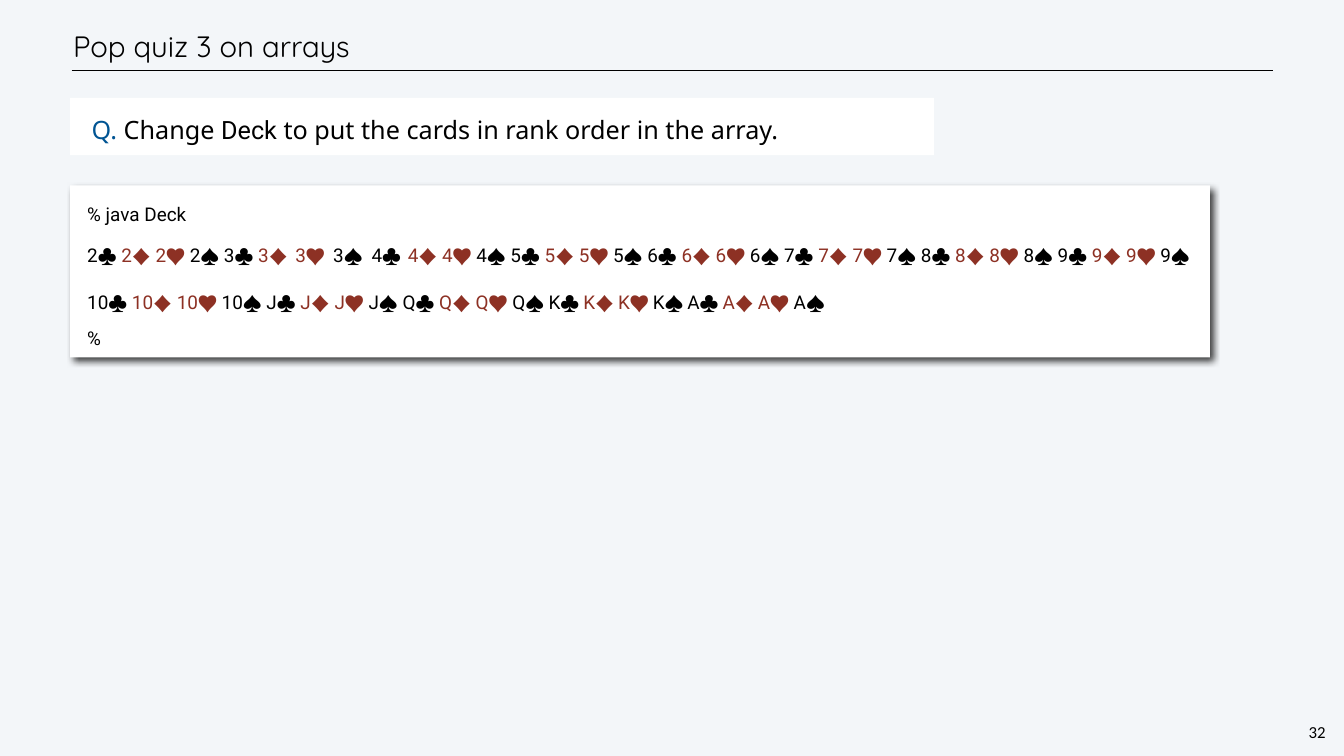
from itertools import groupby

from lxml import etree
from pptx import Presentation
from pptx.dml.color import RGBColor
from pptx.enum.shapes import MSO_CONNECTOR, MSO_SHAPE
from pptx.enum.text import MSO_ANCHOR, PP_ALIGN
from pptx.oxml import parse_xml
from pptx.oxml.ns import qn
from pptx.util import Inches, Pt

RECT = MSO_SHAPE.RECTANGLE
LINE = MSO_CONNECTOR.STRAIGHT
TOP, MIDDLE = MSO_ANCHOR.TOP, MSO_ANCHOR.MIDDLE
LEFT, CENTER = PP_ALIGN.LEFT, PP_ALIGN.CENTER
BLACK = RGBColor(0, 0, 0)
WHITE = RGBColor(255, 255, 255)
PALE = RGBColor(0xF3, 0xF6, 0xF9)
BLUE = RGBColor(0x00, 0x54, 0x93)
RED = RGBColor(0x8D, 0x31, 0x24)

SHADOW = """<a:effectLst xmlns:a="http://schemas.openxmlformats.org/drawingml/2006/main">
<a:outerShdw blurRad="127000" dist="76200" dir="2700000" algn="tl" rotWithShape="0">
<a:srgbClr val="000000"><a:alpha val="75000"/></a:srgbClr></a:outerShdw></a:effectLst>"""


def write(para, text, size=27, font="Roboto", color=BLACK):
    run = para.add_run()
    run.text = text
    run.font.size = Pt(size)
    run.font.name = font
    run.font.color.rgb = color


def set_up(shape, inset, lines, anchor=TOP, wrap=True, align=LEFT):
    """Format the frame; each line is (spacing, space before, left, first indent)."""
    frame = shape.text_frame
    frame.word_wrap = wrap
    frame.vertical_anchor = anchor
    frame.margin_left = frame.margin_right = Inches(inset)
    frame.margin_top = frame.margin_bottom = Inches(inset)
    for i, (gap, before, left, first) in enumerate(lines):
        para = frame.add_paragraph() if i else frame.paragraphs[0]
        para.alignment = align
        para.line_spacing = Pt(gap)
        para.space_before = Pt(before)
        props = para._p.get_or_add_pPr()
        props.set("marL", str(Inches(left)))
        props.set("indent", str(Inches(first)))
    return frame.paragraphs


prs = Presentation()
prs.slide_width, prs.slide_height = Inches(26.67), Inches(15)
slide = prs.slides.add_slide(prs.slide_layouts[6])
slide.background.fill.solid()
slide.background.fill.fore_color.rgb = PALE
shapes = slide.shapes

# Title and rule
rule = shapes.add_connector(LINE, Inches(1.42), Inches(1.4), Inches(25.27), Inches(1.4))
rule.line.color.rgb = BLACK
rule.line.width = Pt(1)
etree.SubElement(rule._element.spPr, qn("a:effectLst"))
title = shapes.add_textbox(Inches(1.39), Inches(0.42), Inches(22.62), Inches(0.99))
para, = set_up(title, 0.06, [(50, 0, 0, 0)], anchor=MIDDLE)
write(para, "Pop quiz 3 on arrays", size=42, font="Quicksand")

# White panels
panels = []
for top, width, height in [(1.94, 17.14, 1.14), (3.68, 22.62, 3.41)]:
    panel = shapes.add_shape(RECT, Inches(1.39), Inches(top), Inches(width), Inches(height))
    panel.fill.solid()
    panel.fill.fore_color.rgb = WHITE
    panel.line.fill.background()
    panel.shadow.inherit = False
    panels.append(panel)
quiz, screen = panels

# Question
para, = set_up(quiz, 0.33, [(43, 0, 0, 0.1)])
write(para, "Q. ", size=36, font="Noto Sans", color=BLUE)
write(para, "Change ", size=36, font="Noto Sans")
write(para, "Deck", size=36)
write(para, " to put the cards in rank order in the array.", size=36, font="Noto Sans")

# Program output, cards in rank order
props = screen._element.spPr
props.replace(props.find(qn("a:effectLst")), parse_xml(SHADOW))
call, cards, prompt = set_up(
    screen, 0.33, [(33, 0, 0.01, 0), (62, 2, 0.01, 0), (33, 19, 0.01, 0)])
write(call, "% java Deck")
SPACES = {"3♦": 44, "3♥": 48, "3♠": 51, "4♣": 39, "Q♠": 25, "K♣": 23, "K♦": 23,
          "K♥": 23, "K♠": 22, "A♣": 23, "A♦": 23}
parts = []
for rank in "2 3 4 5 6 7 8 9 10 J Q K A".split():
    for suit in "♣♦♥♠":
        card = rank + suit
        color = RED if suit in "♦♥" else BLACK
        parts += [(card, 27, color), (" ", SPACES.get(card, 27), color)]
parts.pop()  # no space after the last card
for (size, color), group in groupby(parts, key=lambda part: part[1:]):
    write(cards, "".join(part[0] for part in group), size=size, color=color)
write(prompt, "%")

# Page number
page = shapes.add_textbox(Inches(25.92), Inches(14.29), Inches(0.43), Inches(0.47))
para, = set_up(page, 0.04, [(28, 0, 0, 0)], wrap=False, align=CENTER)
write(para, "32", size=24, font="Calibri")

prs.save("out.pptx")
